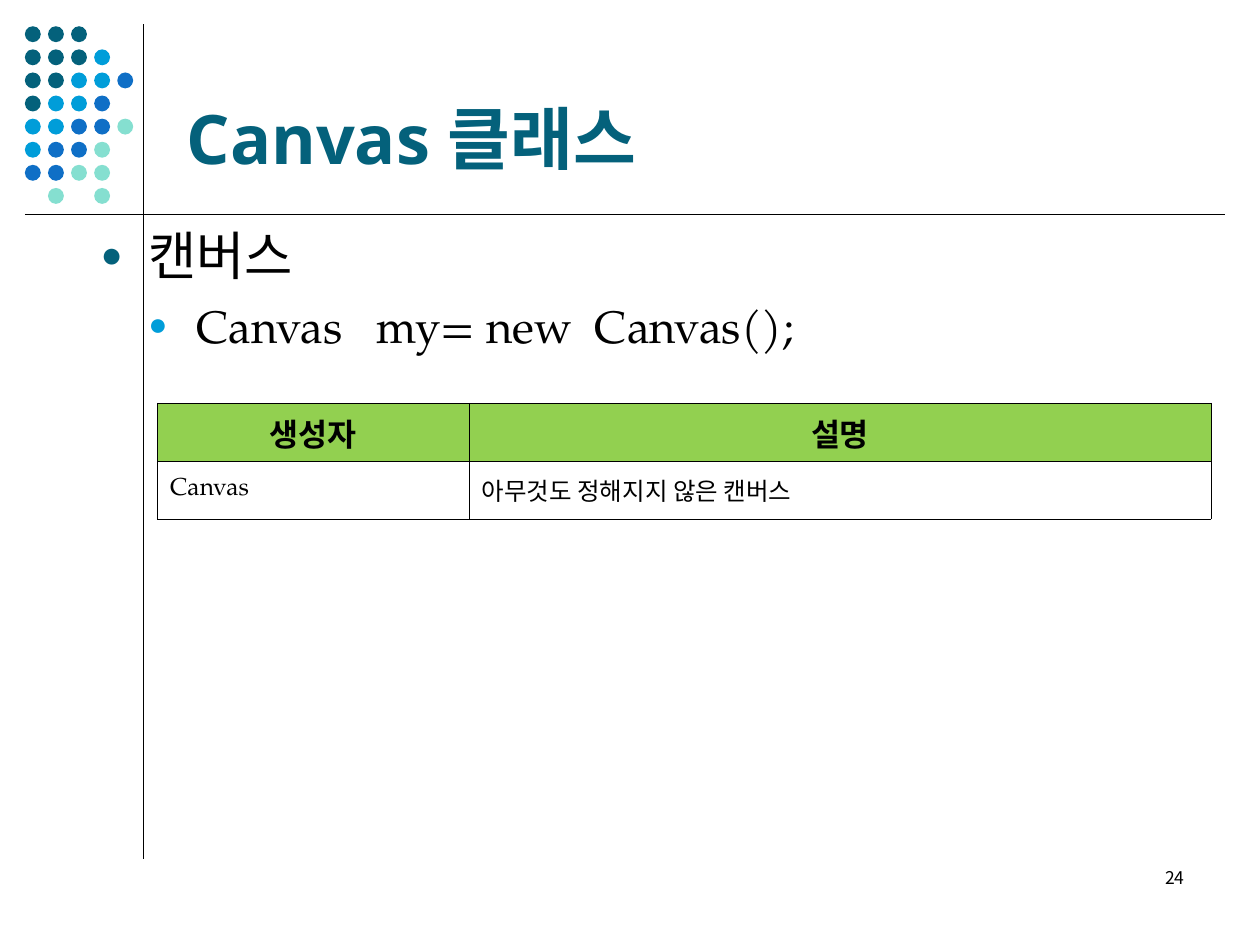
from lxml import etree
from pptx import Presentation
from pptx.dml.color import RGBColor
from pptx.enum.shapes import MSO_CONNECTOR, MSO_SHAPE
from pptx.enum.text import MSO_ANCHOR, MSO_AUTO_SIZE, PP_ALIGN
from pptx.oxml.ns import qn
from pptx.util import Pt

STRAIGHT = MSO_CONNECTOR.STRAIGHT
OVAL = MSO_SHAPE.OVAL
MIDDLE, BOTTOM = MSO_ANCHOR.MIDDLE, MSO_ANCHOR.BOTTOM
LEFT, CENTER, RIGHT = PP_ALIGN.LEFT, PP_ALIGN.CENTER, PP_ALIGN.RIGHT
NO_AUTOFIT = MSO_AUTO_SIZE.NONE

SERIF, SANS, KOREAN = "TeX Gyre Pagella", "Noto Sans", "Noto Sans CJK KR"
BLACK, WHITE, GREEN = "000000", "FFFFFF", "92D050"
TEAL, SKY, BLUE, MINT = "04617B", "009DD9", "0F6FC6", "85DFD0"

DOT_COLORS = {"T": TEAL, "S": SKY, "B": BLUE, "M": MINT}
DOT_ROWS = ["TTT", "TTTS", "TTSSB", "TSSB", "SSBBM", "SBBM", "BBMM", " M M"]
BULLETS = [  # text, size, space before, bullet colour
    ("캔버스", 30, 0, TEAL),
    ("Canvas   my= new  Canvas();", 26, 6.5, SKY),
]
CONSTRUCTORS = [("생성자", "설명"), ("Canvas", "아무것도 정해지지 않은 캔버스")]


def color(value):
    return RGBColor.from_string(value)


def write(paragraph, text, size, font=SERIF, fill=BLACK, bold=False, align=LEFT):
    paragraph.alignment = align
    run = paragraph.add_run()
    run.text = text
    run.font.size = Pt(size)
    run.font.name = font
    run.font.bold = bold
    run.font.color.rgb = color(fill)
    latin = run.font._element.find(qn("a:latin"))
    east_asian = etree.Element(qn("a:ea"), typeface=KOREAN)
    latin.addnext(east_asian)


def add_bullet(paragraph, level, fill, indent=27.36):
    paragraph.level = level
    properties = paragraph._p.get_or_add_pPr()
    properties.set("marL", str(Pt(indent * (level + 1))))
    properties.set("indent", str(-Pt(indent)))
    bullet_color = etree.SubElement(properties, qn("a:buClr"))
    etree.SubElement(bullet_color, qn("a:srgbClr"), val=fill)
    etree.SubElement(properties, qn("a:buSzPct"), val="70000")
    etree.SubElement(properties, qn("a:buFont"), typeface="Arial")
    etree.SubElement(properties, qn("a:buChar"), char="●")


def add_rule(slide, *ends):
    rule = slide.shapes.add_connector(STRAIGHT, *map(Pt, ends))
    rule.line.color.rgb = color(BLACK)
    rule.line.width = Pt(0.75)
    etree.SubElement(rule._element.spPr, qn("a:effectLst"))


def add_dots(slide, left, top, pitch=13.2, diameter=9.1):
    for row, codes in enumerate(DOT_ROWS):
        for column, code in enumerate(codes):
            if code == " ":
                continue
            dot = slide.shapes.add_shape(
                OVAL, Pt(left + column * pitch), Pt(top + row * pitch),
                Pt(diameter), Pt(diameter))
            dot.shadow.inherit = False
            dot.fill.solid()
            dot.fill.fore_color.rgb = color(DOT_COLORS[code])
            dot.line.fill.background()


def place_title(slide, left, top, width, height):
    title = slide.shapes.title
    title.left, title.top = Pt(left), Pt(top)
    title.width, title.height = Pt(width), Pt(height)
    frame = title.text_frame
    frame.auto_size = NO_AUTOFIT
    frame.vertical_anchor = BOTTOM
    write(frame.paragraphs[0], "Canvas 클래스", 39, font=SANS, fill=TEAL, bold=True)


def add_text_frame(slide, *box):
    frame = slide.shapes.add_textbox(*map(Pt, box)).text_frame
    frame.word_wrap = True
    return frame


def add_body(slide, *box):
    frame = add_text_frame(slide, *box)
    for level, (text, size, space, fill) in enumerate(BULLETS):
        paragraph = frame.add_paragraph() if level else frame.paragraphs[0]
        add_bullet(paragraph, level, fill)
        paragraph.space_before = Pt(space)
        write(paragraph, text, size)


def add_page_number(slide, *box):
    frame = add_text_frame(slide, *box)
    write(frame.paragraphs[0], "24", 10, font=KOREAN, align=RIGHT)


def set_borders(cell, width=0.45):
    properties = cell._tc.get_or_add_tcPr()
    for index, side in enumerate(("lnL", "lnR", "lnT", "lnB")):
        border = etree.Element(qn(f"a:{side}"), w=str(Pt(width)))
        fill = etree.SubElement(border, qn("a:solidFill"))
        etree.SubElement(fill, qn("a:srgbClr"), val=BLACK)
        properties.insert(index, border)


def add_constructor_table(slide, left, top, widths, row_height):
    table = slide.shapes.add_table(
        len(CONSTRUCTORS), len(widths), Pt(left), Pt(top),
        Pt(sum(widths)), Pt(row_height * len(CONSTRUCTORS))).table
    for column, width in zip(table.columns, widths):
        column.width = Pt(width)
    for row_index, texts in enumerate(CONSTRUCTORS):
        header = row_index == 0
        for column_index, text in enumerate(texts):
            cell = table.cell(row_index, column_index)
            cell.vertical_anchor = MIDDLE
            cell.fill.solid()
            cell.fill.fore_color.rgb = color(GREEN if header else WHITE)
            set_borders(cell)
            write(cell.text_frame.paragraphs[0], text, 18 if header else 14,
                  bold=header, align=CENTER if header else LEFT)


def main():
    presentation = Presentation()
    presentation.slide_width, presentation.slide_height = Pt(720), Pt(540)
    slide = presentation.slides.add_slide(presentation.slide_layouts[5])
    add_rule(slide, 82, 14, 82, 491)
    add_dots(slide, 14.2, 15)
    add_rule(slide, 14.2, 122.5, 700.2, 122.5)
    place_title(slide, 99.4, 15, 594, 90.7)
    add_body(slide, 50.4, 124, 669.6, 347)
    add_page_number(slide, 516, 492, 168, 36)
    add_constructor_table(slide, 90, 230.4, (178, 424), 33.1)
    presentation.save("out.pptx")


if __name__ == "__main__":
    main()
